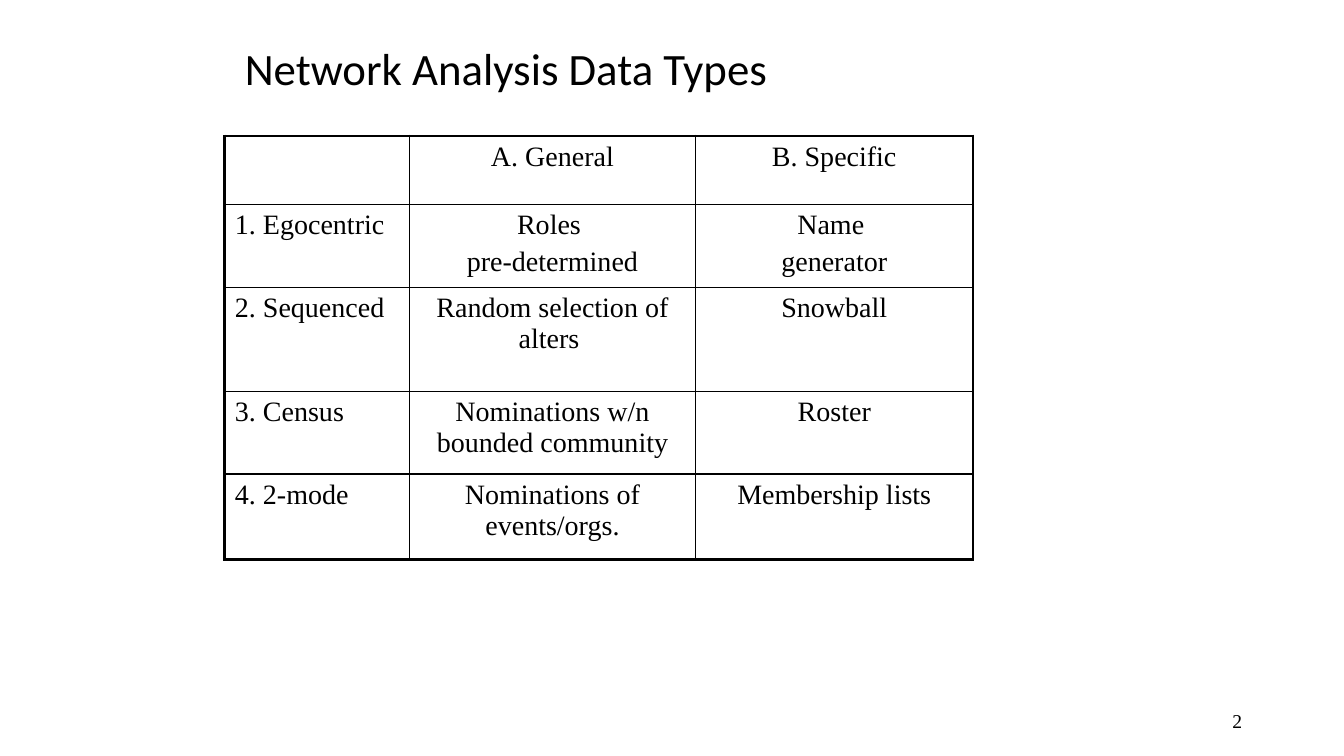
import pptx
import pptx.util
import pptx.dml.color
import pptx.enum.text
import pptx.oxml.ns
from lxml import etree

Inches, Pt = pptx.util.Inches, pptx.util.Pt
ALIGN = pptx.enum.text.PP_ALIGN
BLACK = pptx.dml.color.RGBColor(0, 0, 0)
SERIF, SANS = "Times New Roman", "Calibri"

# Content
TITLE = "Network Analysis Data Types"
PAGE = "2"
ROWS = [
    ("", "A. General", "B. Specific"),
    ("1. Egocentric", "Roles \npre-determined", "Name \ngenerator"),
    ("2. Sequenced", "Random selection of alters ", "Snowball"),
    ("3. Census", "Nominations w/n bounded community", "Roster"),
    ("4. 2-mode", "Nominations of events/orgs.", "Membership lists"),
]
COL_WIDTHS = [1.83, 2.84, 2.75]
ROW_HEIGHTS = [0.68, 0.82, 1.03, 0.82, 0.85]
OUTER, INNER = 2.25, 1


def style(p, size, font, align):
    p.font.size, p.font.name = Pt(size), font
    p.font.color.rgb = BLACK
    p.alignment = align


def add_text(s, text, box, size, font, align):
    tf = s.shapes.add_textbox(*map(Inches, box)).text_frame
    tf.word_wrap = True
    tf.vertical_anchor = pptx.enum.text.MSO_ANCHOR.MIDDLE
    p = tf.paragraphs[0]
    p.text = text
    style(p, size, font, align)


def set_borders(cell, widths):
    tc_pr = cell._tc.get_or_add_tcPr()
    for i, (side, width) in enumerate(widths.items()):
        ln = etree.Element(pptx.oxml.ns.qn("a:ln" + side), w=str(Pt(width)))
        fill = etree.SubElement(ln, pptx.oxml.ns.qn("a:solidFill"))
        etree.SubElement(fill, pptx.oxml.ns.qn("a:srgbClr"), val=str(BLACK))
        tc_pr.insert(i, ln)


prs = pptx.Presentation()
prs.slide_width, prs.slide_height = Inches(13.33), Inches(7.5)
s = prs.slides.add_slide(prs.slide_layouts[6])

# Title and page number
add_text(s, TITLE, (2.33, 0.09, 8.5, 1.16), 32, SANS, ALIGN.LEFT)
add_text(s, PAGE, (9.42, 6.95, 3, 0.4), 14, SERIF, ALIGN.RIGHT)

# Table
last_row, last_col = len(ROWS) - 1, len(COL_WIDTHS) - 1
table = s.shapes.add_table(
    len(ROWS), len(COL_WIDTHS), Inches(2.23), Inches(1.35),
    Inches(sum(COL_WIDTHS)), Inches(sum(ROW_HEIGHTS))).table
table.first_row = table.horz_banding = False
for column, width in zip(table.columns, COL_WIDTHS):
    column.width = Inches(width)
for row, height in zip(table.rows, ROW_HEIGHTS):
    row.height = Inches(height)

for r, texts in enumerate(ROWS):
    for c, text in enumerate(texts):
        cell = table.cell(r, c)
        cell.fill.background()
        cell.text = text
        for p in cell.text_frame.paragraphs:
            style(p, 20, SERIF, ALIGN.CENTER if c else ALIGN.LEFT)
            p.space_before = Pt(4)
        at_edge = {"L": c == 0, "R": c == last_col,
                   "T": r == 0, "B": r == last_row}
        set_borders(cell, {side: OUTER if edge else INNER
                           for side, edge in at_edge.items()})

prs.save("out.pptx")
